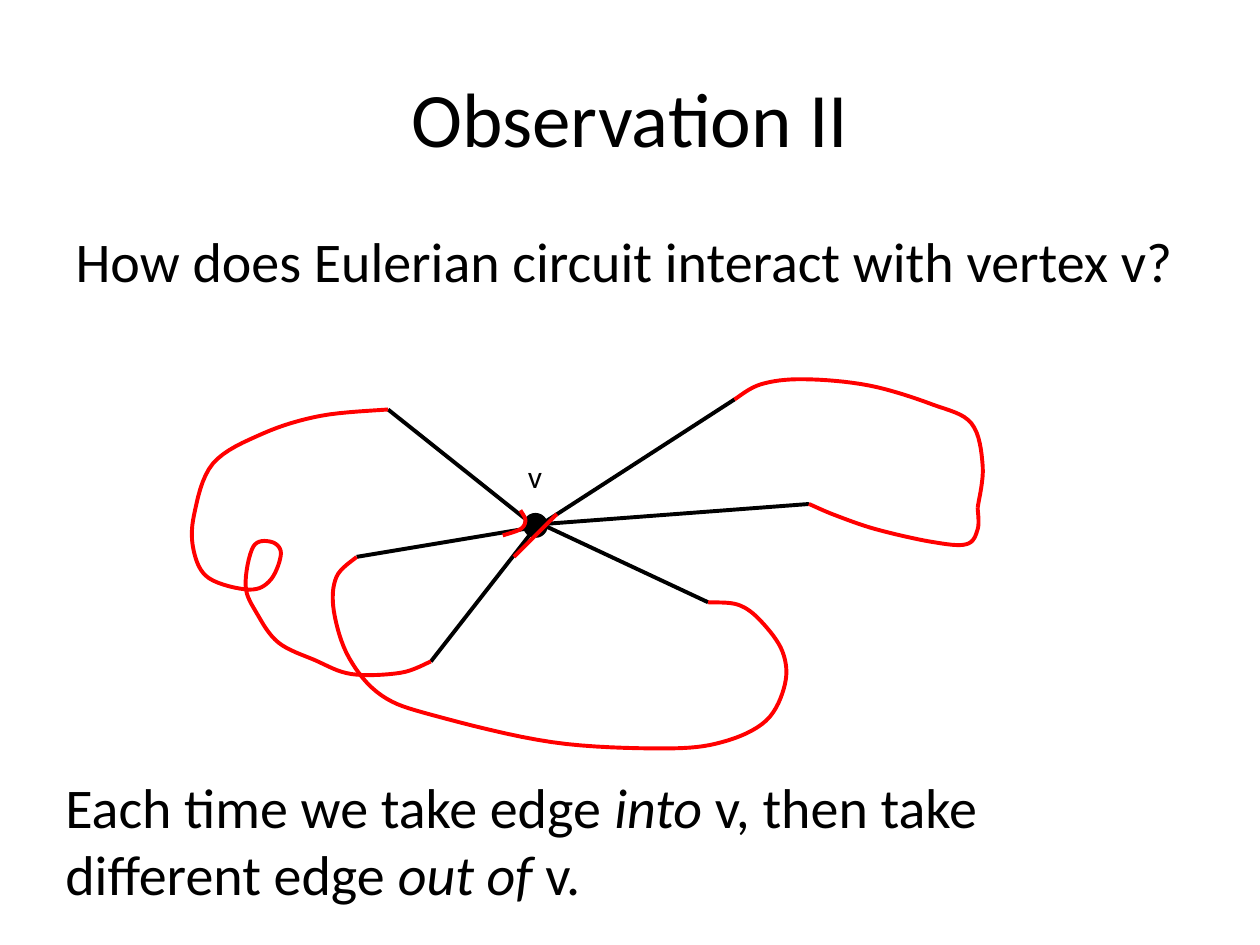
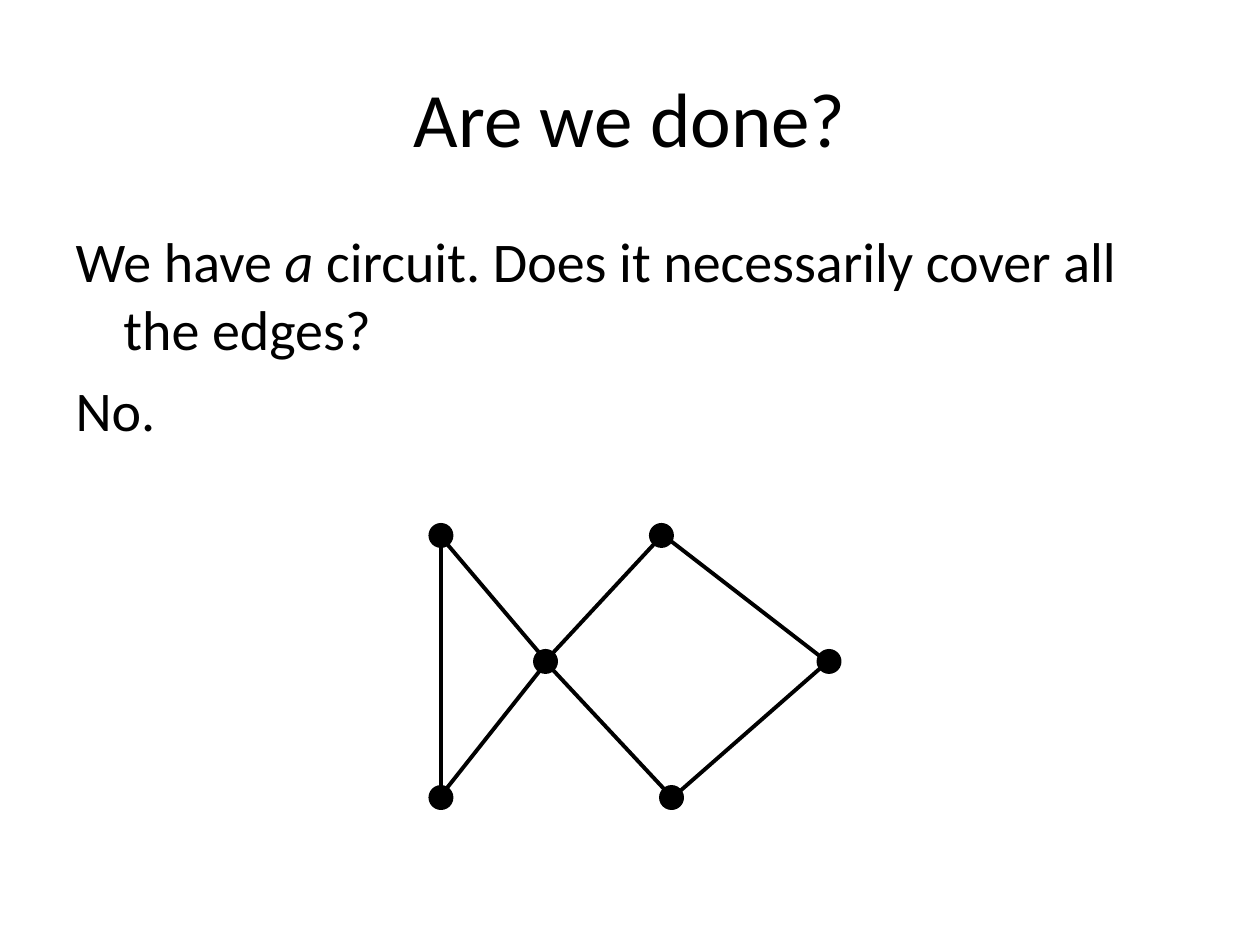
from dataclasses import dataclass, field

from lxml import etree
from pptx import Presentation
from pptx.dml.color import RGBColor
from pptx.enum.shapes import MSO_CONNECTOR, MSO_SHAPE
from pptx.enum.text import MSO_ANCHOR, MSO_AUTO_SIZE, PP_ALIGN
from pptx.oxml.ns import qn
from pptx.util import Pt

PX = 9144
STRAIGHT = MSO_CONNECTOR.STRAIGHT
OVAL = MSO_SHAPE.OVAL
CENTER = PP_ALIGN.CENTER
MIDDLE, TOP = MSO_ANCHOR.MIDDLE, MSO_ANCHOR.TOP
NO_AUTOFIT, GROW = MSO_AUTO_SIZE.NONE, MSO_AUTO_SIZE.SHAPE_TO_FIT_TEXT


@dataclass(frozen=True)
class Theme:
    """Colours, type sizes and measures shared by the slides."""

    ink: RGBColor = RGBColor(0, 0, 0)
    tour: RGBColor = RGBColor(255, 0, 0)
    font: str = "Calibri"
    sizes: dict = field(
        default_factory=lambda: {"title": Pt(44), "body": Pt(32), "label": Pt(18)}
    )
    edge_width: int = Pt(2.25)
    vertex_outline: int = Pt(2)
    paragraph_gap: int = Pt(8)
    hanging: int = 38 * PX
    vertex_size: int = 17
    rim_straight: int = 8
    rim_diagonal: int = 6
    curve_steps: int = 8


THEME = Theme()

TITLE_BOX = (50, 30, 900, 125)
BODY_LEFT, BODY_TOP, BODY_WIDTH = 50, 175, 900

VERTEX_V = (425, 417)
SPOKE_ENDS = {
    "upper right": (583, 317),
    "lower right": (562, 478),
    "left": (283, 442),
    "upper left": (308, 325),
    "lower left": (342, 525),
    "right": (642, 400),
}
RIGHT_MEETING = (776, 403)

RIGHT_LOOP_TOP = [(604, 305), (638, 301), (690, 306), (740, 321), (771, 336), (780, 370)]
RIGHT_LOOP_BOTTOM = [(663, 409), (695, 420), (739, 430), (767, 432), (776, 420)]
LEFT_LOOP_RISE = [(318, 534), (279, 535), (250, 524), (221, 510), (204, 487)]
LEFT_LOOP_CURL = [(195, 465), (201, 434), (215, 430), (223, 439), (215, 460), (198, 468)]
LEFT_LOOP_RETURN = [(166, 459), (154, 438), (154, 409), (169, 368), (209, 344), (255, 330)]
BOTTOM_LOOP_FALL = [(267, 458), (265, 485), (277, 522), (303, 552), (345, 568)]
BOTTOM_LOOP_FLOOR = [(438, 589), (526, 594), (573, 589), (608, 572)]
BOTTOM_LOOP_RISE = [(623, 543), (621, 517), (604, 493), (586, 480)]
TURN_AT_V = [(413, 405), (417, 413), (413, 420), (399, 425)]

TOURS = [
    [SPOKE_ENDS["upper right"], *RIGHT_LOOP_TOP, RIGHT_MEETING],
    [SPOKE_ENDS["right"], *RIGHT_LOOP_BOTTOM, RIGHT_MEETING],
    [
        SPOKE_ENDS["lower left"],
        *LEFT_LOOP_RISE,
        *LEFT_LOOP_CURL,
        *LEFT_LOOP_RETURN,
        SPOKE_ENDS["upper left"],
    ],
    [
        SPOKE_ENDS["left"],
        *BOTTOM_LOOP_FALL,
        *BOTTOM_LOOP_FLOOR,
        *BOTTOM_LOOP_RISE,
        SPOKE_ENDS["lower right"],
    ],
    TURN_AT_V,
]

VERTICES = {
    "lower left": (350, 633),
    "lower right": (533, 633),
    "middle": (433, 525),
    "upper left": (350, 425),
    "upper right": (525, 425),
    "far right": (658, 525),
}
CIRCUITS = [
    ("middle", "upper left", "lower left"),
    ("middle", "upper right", "far right", "lower right"),
]


def apply_format(target, values):
    """Set each attribute named in values on the target."""
    for name, value in values.items():
        setattr(target, name, value)


def emu(*lengths):
    """Turn px lengths into EMU."""
    return [round(length * PX) for length in lengths]


def write_runs(paragraph, runs, role):
    """Write runs at the role's size, with every second run in italics."""
    for index, text in enumerate(runs):
        run = paragraph.add_run()
        run.text = text
        apply_format(
            run.font,
            {
                "name": THEME.font,
                "size": THEME.sizes[role],
                "bold": False,
                "italic": index % 2 == 1,
            },
        )
        run.font.color.rgb = THEME.ink


def fit_placeholder(holder, box, anchor):
    """Move a placeholder to a px box and fix how its text sits."""
    apply_format(holder, dict(zip(("left", "top", "width", "height"), emu(*box))))
    apply_format(
        holder.text_frame,
        {"auto_size": NO_AUTOFIT, "vertical_anchor": anchor, "word_wrap": True},
    )


def hang_without_bullet(paragraph):
    """Give a paragraph a hanging indent and no bullet."""
    properties = paragraph._p.get_or_add_pPr()
    properties.set("marL", str(THEME.hanging))
    properties.set("indent", str(-THEME.hanging))
    etree.SubElement(properties, qn("a:buNone"))


def add_titled_slide(prs, title, paragraphs, body_height):
    """Add a slide with a centred title and hanging body text."""
    slide = prs.slides.add_slide(prs.slide_layouts[1])
    heading, body = slide.shapes.title, slide.placeholders[1]
    fit_placeholder(heading, TITLE_BOX, MIDDLE)
    fit_placeholder(body, (BODY_LEFT, BODY_TOP, BODY_WIDTH, body_height), TOP)
    heading_line = heading.text_frame.paragraphs[0]
    heading_line.alignment = CENTER
    write_runs(heading_line, [title], "title")
    for index, runs in enumerate(paragraphs):
        frame = body.text_frame
        paragraph = frame.add_paragraph() if index else frame.paragraphs[0]
        hang_without_bullet(paragraph)
        paragraph.space_before = THEME.paragraph_gap if index else Pt(0)
        write_runs(paragraph, runs, "body")
    return slide


def add_text(slide, box, runs, role, wrap=True):
    """Add a text box of one paragraph."""
    text_box = slide.shapes.add_textbox(*emu(*box))
    apply_format(text_box.text_frame, {"word_wrap": wrap, "auto_size": GROW})
    write_runs(text_box.text_frame.paragraphs[0], runs, role)


def set_stroke(line, color, width):
    """Colour a line and set its width."""
    line.color.rgb = color
    line.width = width


def add_edge(slide, start, end, color=THEME.ink):
    """Draw a straight edge between two px points."""
    edge = slide.shapes.add_connector(STRAIGHT, *emu(*start, *end))
    set_stroke(edge.line, color, THEME.edge_width)
    etree.SubElement(edge._element.spPr, qn("a:effectLst"))


def add_vertex(slide, center):
    """Draw a filled dot around its centre."""
    size = THEME.vertex_size
    corner = [middle - size / 2 for middle in center]
    dot = slide.shapes.add_shape(OVAL, *emu(*corner, size, size))
    dot.shadow.inherit = False
    dot.fill.solid()
    dot.fill.fore_color.rgb = THEME.ink
    set_stroke(dot.line, THEME.ink, THEME.vertex_outline)


def far_rim(center, target):
    """Find the rim point of a dot that lies opposite the target."""
    dx, dy = (there - here for here, there in zip(center, target))
    across = (dx > 0) - (dx < 0) if 4 * abs(dx) > abs(dy) else 0
    down = (dy > 0) - (dy < 0) if 4 * abs(dy) > abs(dx) else 0
    reach = THEME.rim_diagonal if across and down else THEME.rim_straight
    return center[0] - across * reach, center[1] - down * reach


def spline(before, start, end, after, t):
    """Interpolate one Catmull-Rom coordinate at t between start and end."""
    linear = end - before
    square = 2 * before - 5 * start + 4 * end - after
    cube = 3 * (start - end) + after - before
    return start + (linear * t + square * t**2 + cube * t**3) / 2


def smooth_curve(waypoints):
    """Return closely spaced points on a smooth curve through the waypoints."""
    padded = [waypoints[0], *waypoints, waypoints[-1]]
    curve = [waypoints[0]]
    for stretch in zip(padded, padded[1:], padded[2:], padded[3:]):
        for step in range(1, THEME.curve_steps + 1):
            t = step / THEME.curve_steps
            curve.append(tuple(spline(*axis, t) for axis in zip(*stretch)))
    return curve


def add_tour(slide, waypoints):
    """Draw an open, smooth piece of the circuit through its waypoints."""
    start, *rest = [emu(*point) for point in smooth_curve(waypoints)]
    builder = slide.shapes.build_freeform(*start)
    builder.add_line_segments(rest, close=False)
    tour = builder.convert_to_shape()
    tour.shadow.inherit = False
    tour.fill.background()
    set_stroke(tour.line, THEME.tour, THEME.edge_width)


def add_circuit(slide, names):
    """Join the named vertices in a closed ring of edges."""
    for first, second in zip(names, names[1:] + names[:1]):
        here, there = VERTICES[first], VERTICES[second]
        add_edge(slide, far_rim(here, there), far_rim(there, here))


def build_observation(prs):
    """Show how the circuit enters and leaves one vertex."""
    question = ["How does Eulerian circuit interact with vertex v?"]
    slide = add_titled_slide(prs, "Observation II", [question], 125)
    add_text(slide, (409, 358, 31, 40), ["v"], "label", wrap=False)
    for spoke_end in SPOKE_ENDS.values():
        add_edge(slide, far_rim(VERTEX_V, spoke_end), spoke_end)
    add_vertex(slide, VERTEX_V)
    add_edge(slide, (408, 442), (442, 408), THEME.tour)
    for waypoints in TOURS:
        add_tour(slide, waypoints)
    conclusion = ["Each time we take edge ", "into ", "v, then take different edge ", "out of ", "v."]
    add_text(slide, (42, 608, 883, 117), conclusion, "body")


def build_counterexample(prs):
    """Show a graph in which a circuit can miss edges."""
    question = ["We have ", "a", " circuit. Does it necessarily cover all the edges?"]
    slide = add_titled_slide(prs, "Are we done?", [question, ["No."]], 200)
    for center in VERTICES.values():
        add_vertex(slide, center)
    for names in CIRCUITS:
        add_circuit(slide, names)


def main():
    """Build both slides and save them."""
    prs = Presentation()
    prs.slide_width, prs.slide_height = emu(1000, 750)
    build_observation(prs)
    build_counterexample(prs)
    prs.save("out.pptx")


if __name__ == "__main__":
    main()
